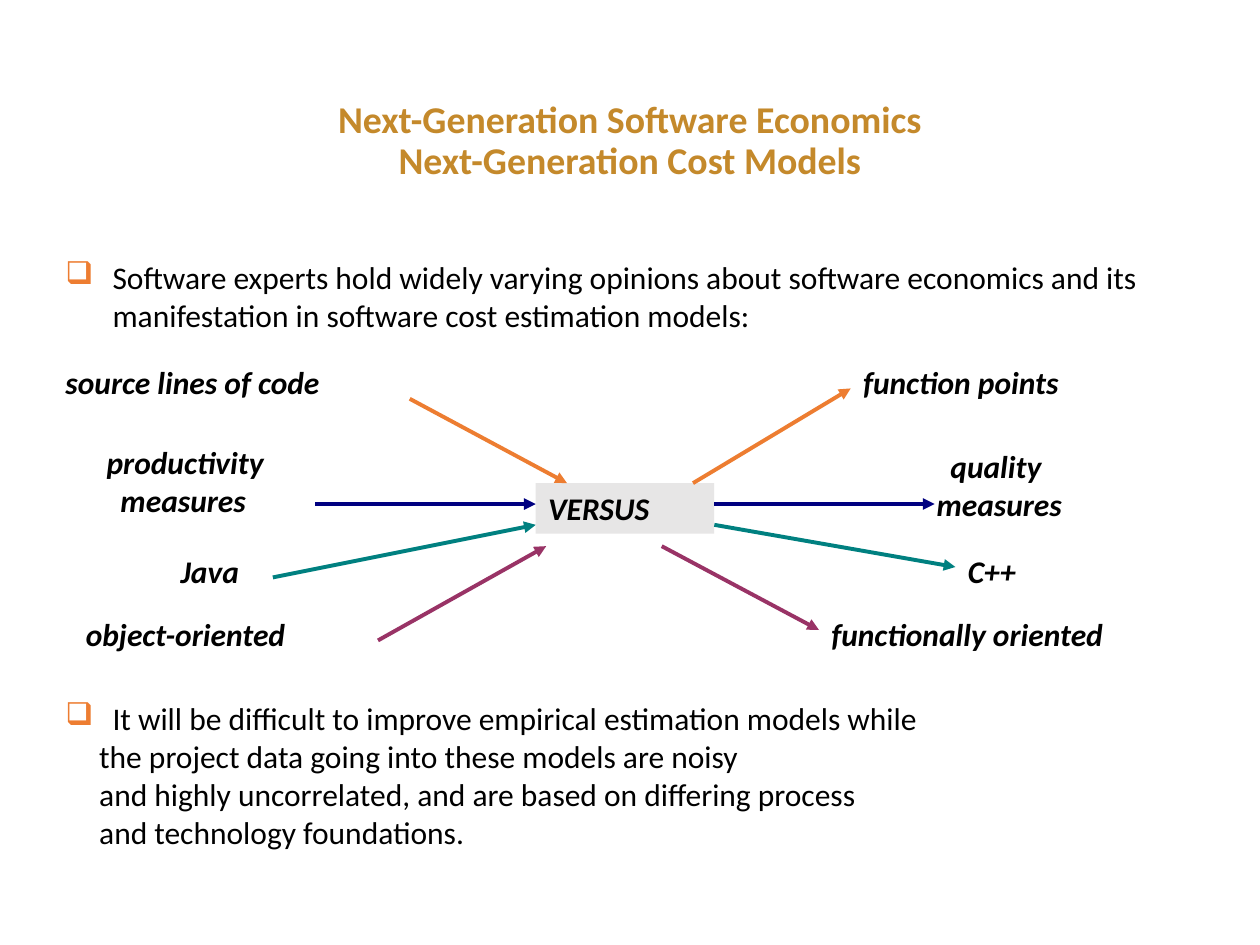
"""Build a slide contrasting opposing views on software cost models."""
from pptx import Presentation
from pptx import util as u
from pptx.dml.color import RGBColor
from pptx.enum import shapes, text
from pptx.oxml.ns import qn
from lxml import etree

COLORS = {"title": "C4892B", "ink": "000000", "orange": "ED7D31", "navy": "000080",
          "teal": "008080", "plum": "993366", "gray": "E7E6E6", "white": "FFFFFF"}
FONT = "Calibri"
LINE_HEIGHT, PADDING = 0.76, 0.26
HANGING, STEP, CLOSING_STEP = 0.95, 0.28, 0.68

TITLE = "Next-Generation Software Economics\vNext-Generation Cost Models"
OPENING = [("Software experts hold widely varying opinions about software economics "
            "and its manifestation in software cost estimation models:", HANGING)]
CLOSING = [("It will be difficult to improve empirical estimation models while", HANGING),
           ("the project data going into these models are noisy", CLOSING_STEP),
           ("and highly uncorrelated, and are based on differing process", CLOSING_STEP),
           ("and technology foundations.", CLOSING_STEP)]

LABELS = [
    ([("source lines of code", 0)], (1.07, 7.2), 7.62, None),
    ([("function points", 0)], (17.15, 7.2), 5.92, None),
    ([("productivity", 0), ("measures", STEP)], (1.9, 8.81), 4.88, "white"),
    ([("quality", STEP), ("measures", 0)], (18.63, 8.89), 4.23, None),
    ([("Java", 0)], (3.39, 11.01), 2.33, None),
    ([("C++", 0)], (19.26, 11.01), 2.75, None),
    ([("object-oriented", 0)], (1.48, 12.28), 6.35, None),
    ([("functionally oriented", 0)], (16.51, 12.28), 8.26, None),
    ([("VERSUS", 0)], (10.8, 9.74), 3.6, "gray"),
]

ARROWS = [
    ("orange", (8.26, 8.04), (11.43, 9.74)),
    ("orange", (13.97, 9.74), (17.15, 7.83)),
    ("navy", (6.35, 10.16), (10.8, 10.16)),
    ("navy", (14.4, 10.16), (18.84, 10.16)),
    ("teal", (5.5, 11.64), (10.8, 10.58)),
    ("teal", (14.4, 10.58), (19.26, 11.43)),
    ("plum", (7.62, 12.91), (11.01, 11.01)),
    ("plum", (13.34, 11.01), (16.51, 12.7)),
]


def color(name):
    return RGBColor.from_string(COLORS[name])


def add_bullet(paragraph):
    properties = paragraph._p.get_or_add_pPr()
    properties.set("indent", str(-u.Cm(HANGING)))
    bullet_color = etree.SubElement(properties, qn("a:buClr"))
    etree.SubElement(bullet_color, qn("a:srgbClr"), val=COLORS["orange"])
    etree.SubElement(properties, qn("a:buChar"), char="❑")


def add_text(slide, lines, position, width, height=None, fill=None, size=18, ink="ink",
             bold=False, italic=False, bulleted=False, align=text.PP_ALIGN.LEFT,
             anchor=text.MSO_ANCHOR.TOP, spacing=None):
    height = height or LINE_HEIGHT * len(lines) + PADDING
    box = [u.Cm(value) for value in (*position, width, height)]
    if fill:
        shape = slide.shapes.add_shape(shapes.MSO_SHAPE.RECTANGLE, *box)
        shape.shadow.inherit = False
        shape.fill.solid()
        shape.fill.fore_color.rgb = color(fill)
        shape.line.fill.background()
    else:
        shape = slide.shapes.add_textbox(*box)
    frame = shape.text_frame
    frame.word_wrap = True
    frame.vertical_anchor = anchor
    for index, (line, indent) in enumerate(lines):
        paragraph = frame.add_paragraph() if index else frame.paragraphs[0]
        paragraph.text = line
        paragraph.alignment = align
        if spacing:
            paragraph.line_spacing = spacing
        paragraph._p.get_or_add_pPr().set("marL", str(u.Cm(indent)))
        if bulleted and index == 0:
            add_bullet(paragraph)
        for run in paragraph.runs:
            run.font.name, run.font.size = FONT, u.Pt(size)
            run.font.bold, run.font.italic = bold, italic
            run.font.color.rgb = color(ink)


def add_arrow(slide, name, start, end):
    points = [u.Cm(value) for value in (*start, *end)]
    arrow = slide.shapes.add_connector(shapes.MSO_CONNECTOR.STRAIGHT, *points)
    arrow.line.color.rgb = color(name)
    arrow.line.width = u.Pt(2.25)
    etree.SubElement(arrow.line._get_or_add_ln(), qn("a:tailEnd"), type="triangle")
    etree.SubElement(arrow._element.spPr, qn("a:effectLst"))


def main():
    presentation = Presentation()
    presentation.slide_width, presentation.slide_height = u.Cm(25.4), u.Cm(19.05)
    slide = presentation.slides.add_slide(presentation.slide_layouts[6])
    add_text(slide, [(TITLE, 0)], (1.75, 1.83), 21.9, 2.06, size=21.6, ink="title", bold=True,
             align=text.PP_ALIGN.CENTER, anchor=text.MSO_ANCHOR.MIDDLE, spacing=0.9)
    add_text(slide, OPENING, (1.07, 5.08), 24.33, 1.78, bulleted=True)
    for lines, position, width, fill in LABELS:
        add_text(slide, lines, position, width, fill=fill, bold=True, italic=True)
    for arrow in ARROWS:
        add_arrow(slide, *arrow)
    add_text(slide, CLOSING, (1.07, 13.97), 24.33, bulleted=True)
    presentation.save("out.pptx")


if __name__ == "__main__":
    main()
